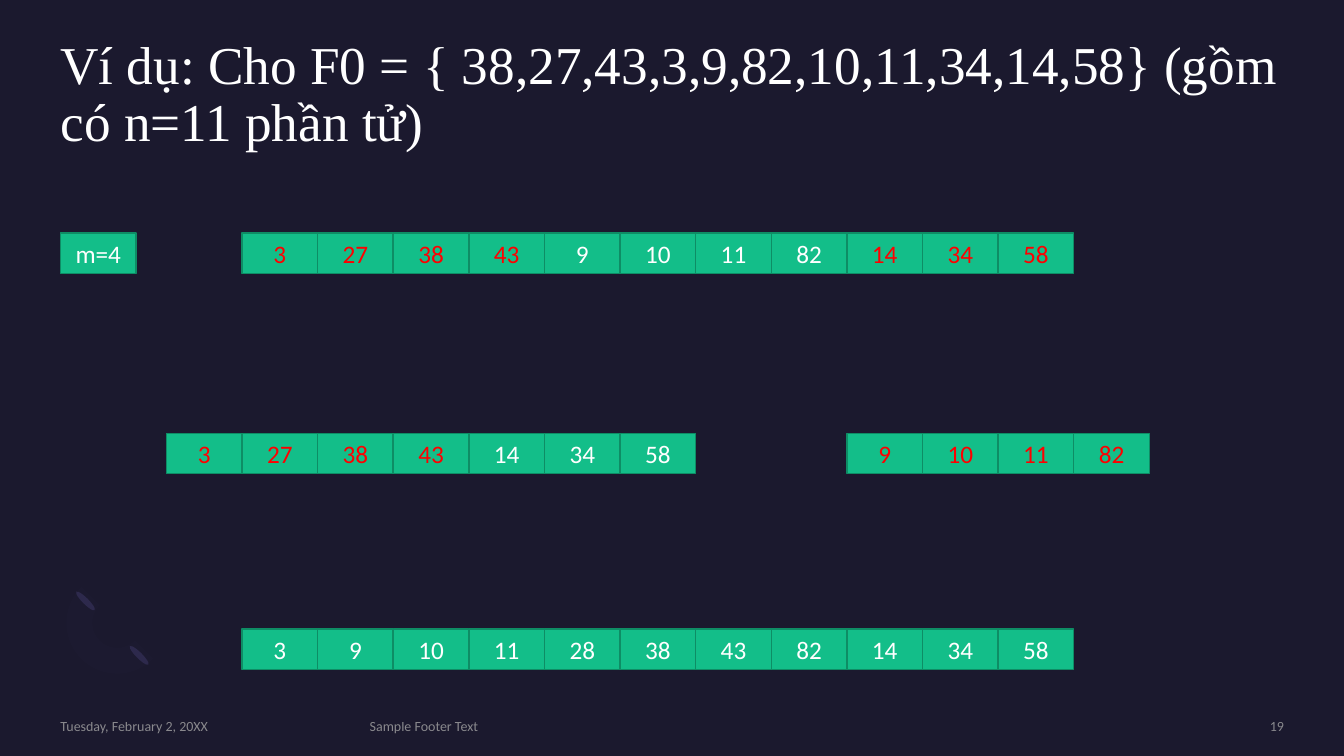
from math import cos, radians, sin
from lxml.etree import SubElement as Sub
from pptx import Presentation as Deck
from pptx.dml.color import RGBColor as Rgb
from pptx.enum.shapes import MSO_SHAPE as Kind
from pptx.enum.text import MSO_ANCHOR as Anchor, MSO_AUTO_SIZE as Fit, PP_ALIGN as Align
from pptx.oxml.ns import qn
from pptx.util import Inches as In, Pt

HUES = {"back": "1B192E", "cell": "13BE89", "edge": "0E8D65", "red": "FF0000",
        "white": "FFFFFF", "gray": "A6A6A6", "cap": "2C284A", "ring": "7771B2"}
COL, ROW = 0.75, 0.4


class Board:
    """Draws on one slide, with lengths in columns and rows of the cell grid."""

    def __init__(self, deck):
        self.slide = deck.slides.add_slide(deck.slide_layouts[5])
        self.shapes = self.slide.shapes
        self.paint(self.slide.background.fill, "back")

    def place(self, col, row, wide, high):
        return In(col * COL), In(row * ROW), In(wide * COL), In(high * ROW)

    def paint(self, fill, hue, alpha=None):
        fill.solid()
        fill.fore_color.rgb = Rgb.from_string(HUES[hue])
        if alpha:
            for tint in fill._xPr.iter(qn("a:srgbClr")):
                Sub(tint, qn("a:alpha"), val=str(alpha * 1000))

    def letter(self, shape, text, hue, font, size, align=Align.LEFT, alpha=None,
               pad=0, anchor=Anchor.MIDDLE, lead=1):
        frame = shape.text_frame
        frame.text = text
        form = {"word_wrap": True, "auto_size": Fit.NONE, "vertical_anchor": anchor,
                "margin_left": pad, "margin_right": pad,
                "margin_top": 0, "margin_bottom": 0}
        para = frame.paragraphs[0]
        face = para.runs[0].font
        for item, looks in ((frame, form), (para, {"alignment": align, "line_spacing": lead}),
                            (face, {"name": font, "size": Pt(size)})):
            for key, val in looks.items():
                setattr(item, key, val)
        self.paint(face.fill, hue, alpha)

    def title(self, text, *spot):
        head = self.shapes.title
        head.left, head.top, head.width, head.height = self.place(*spot)
        self.letter(head, text, "white", "Times New Roman", 38, anchor=Anchor.TOP, lead=0.9)

    def label(self, text, col, wide, align=Align.LEFT):
        box = self.shapes.add_textbox(*self.place(col, 17.8, wide, 0.43))
        self.letter(box, text, "gray", "Calibri", 10, align, 80)

    def cell(self, text, col, row, hue="white"):
        box = self.shapes.add_shape(Kind.RECTANGLE, *self.place(col, row, 1, 1))
        box.shadow.inherit = False
        self.paint(box.fill, "cell")
        self.paint(box.line.fill, "edge")
        box.line.width = Pt(1)
        self.letter(box, text, hue, "Calibri", 18, Align.CENTER, pad=In(0.1))

    def strip(self, nums, col, row, reds=()):
        for step, num in enumerate(nums):
            self.cell(str(num), col + step, row, "red" if step in reds else "white")

    def cap(self, col, row):
        dot = self.shapes.add_shape(Kind.OVAL, *self.place(col, row, 0.08, 0.65))
        dot.rotation = 135
        self.finish(dot, "cap")

    def ring(self, col, row, outer, inner):
        turns = range(45, 226, 5)
        arcs = [(outer, turn) for turn in turns] + [(inner, turn) for turn in reversed(turns)]
        dots = [(In(col * COL + size * COL * cos(radians(turn))),
                 In(row * ROW + size * COL * sin(radians(turn)))) for size, turn in arcs]
        edge = self.shapes.build_freeform(*dots[0])
        edge.add_line_segments(dots[1:])
        self.finish(edge.convert_to_shape(), "ring", 2)

    def finish(self, shape, hue, alpha=None):
        shape.shadow.inherit = False
        shape.line.fill.background()
        self.paint(shape.fill, hue, alpha)


def main():
    deck = Deck()
    deck.slide_width, deck.slide_height = In(13.33), In(7.5)
    board = Board(deck)
    board.cap(1.8, 15.93)
    board.cap(1.09, 14.58)
    board.ring(1.55, 15.45, 0.67, 0.33)
    board.title("Ví dụ: Cho F0 = { 38,27,43,3,9,82,10,11,34,14,58} (gồm có n=11 phần tử)",
                0.8, 0.95, 16.17, 3.65)
    board.label("Tuesday, February 2, 20XX", 0.8, 3.84)
    board.label("Sample Footer Text", 4.89, 9.31)
    board.label("19", 14.51, 2.47, Align.RIGHT)
    top, mid, low = 5.78, 10.75, 15.6
    board.cell("m=4", 0.8, top)
    board.strip([3, 27, 38, 43, 9, 10, 11, 82, 14, 34, 58], 3.2, top, {0, 1, 2, 3, 8, 9, 10})
    board.strip([3, 27, 38, 43, 14, 34, 58], 2.2, mid, range(4))
    board.strip([9, 10, 11, 82], 11.2, mid, range(4))
    board.strip([3, 9, 10, 11, 28, 38, 43, 82, 14, 34, 58], 3.2, low)
    deck.save("out.pptx")


if __name__ == "__main__":
    main()
